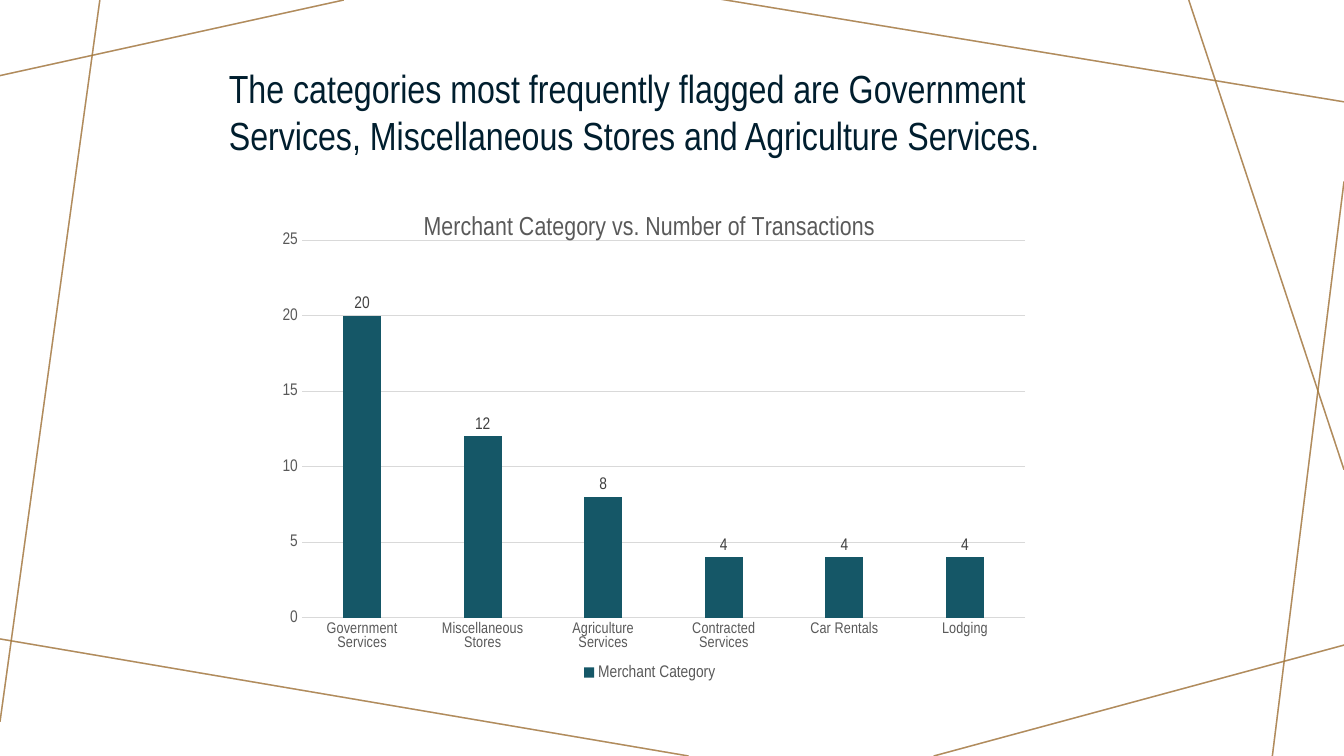
import pptx
import pptx.chart.data
import pptx.dml.color
import pptx.enum.chart
import pptx.enum.text
import pptx.oxml
import pptx.oxml.ns
import pptx.util

WIDTH, HEIGHT = 13.33, 7.5
FONT = "Arial Narrow"
COLORS = {
    "mauve": "BA9CA0",
    "gold": "A57931",
    "ink": "001E2E",
    "bar": "155767",
    "axis": "595959",
    "grid": "D9D9D9",
    "label": "404040",
}
LINES = [
    (25.58, 0, 0, 10),
    (7.43, 0, 0, 95.47),
    (51.24, 100, -0.38, 84.4),
    (100, 85.33, 69.47, 100),
    (100, 24, 94.67, 100),
    (100, 62.13, 88.45, 0),
    (100, 13.47, 53.56, -0.13),
]
TITLE_BOX = (16.28, 7.87, 64.07, 16.53)
CHART_BOX = (19.65, 25.6, 57.39, 64.93)
PLOT = {"x": 0.049, "y": 0.095, "w": 0.938, "h": 0.769}
TRANSACTIONS = {
    "Government Services": 20,
    "Miscellaneous Stores": 12,
    "Agriculture Services": 8,
    "Contracted Services": 4,
    "Car Rentals": 4,
    "Lodging": 4,
}


def place(box):
    sizes = (WIDTH, HEIGHT) * 2
    return [pptx.util.Inches(share * size / 100) for share, size in zip(box, sizes)]


def rgb(name):
    return pptx.dml.color.RGBColor.from_string(COLORS[name])


def set_all(obj, values):
    for name, value in values.items():
        setattr(obj, name, value)


def set_font(font, size, color):
    set_all(font, {"name": FONT, "size": pptx.util.Pt(size), "bold": False})
    font.color.rgb = rgb(color)


def set_line(line, color, width):
    line.color.rgb = rgb(color)
    line.width = pptx.util.Pt(width)


def add_line(s, ends, color):
    c = s.shapes.add_connector(pptx.enum.shapes.MSO_CONNECTOR.STRAIGHT, *place(ends))
    set_line(c.line, color, 1)
    ns = pptx.oxml.ns.nsdecls("a")
    fill = c.line.fill._xPr.find(".//" + pptx.oxml.ns.qn("a:srgbClr"))
    fill.append(pptx.oxml.parse_xml(f'<a:alpha {ns} val="70000"/>'))
    c._element.spPr.append(pptx.oxml.parse_xml(f"<a:effectLst {ns}/>"))


def add_title(s, text):
    sp = s.shapes.title
    set_all(sp, dict(zip(("left", "top", "width", "height"), place(TITLE_BOX))))
    tf = sp.text_frame
    set_all(tf, {
        "word_wrap": True,
        "auto_size": pptx.enum.text.MSO_AUTO_SIZE.NONE,
        "vertical_anchor": pptx.enum.text.MSO_ANCHOR.TOP,
    })
    p = tf.paragraphs[0]
    set_all(p, {
        "alignment": pptx.enum.text.PP_ALIGN.LEFT,
        "space_before": pptx.util.Pt(10),
        "space_after": pptx.util.Pt(5),
    })
    r = p.add_run()
    r.text = text
    set_font(r.font, 28, "ink")


def format_axis(axis, size):
    none = pptx.enum.chart.XL_TICK_MARK.NONE
    set_all(axis, {"major_tick_mark": none, "minor_tick_mark": none})
    set_font(axis.tick_labels.font, size, "axis")


def set_plot_area(chart):
    area = chart._chartSpace.chart.plotArea
    for old in area.findall(pptx.oxml.ns.qn("c:layout")):
        area.remove(old)
    shares = "".join(f'<c:{k} val="{v}"/>' for k, v in PLOT.items())
    area.insert(0, pptx.oxml.parse_xml(
        f'<c:layout {pptx.oxml.ns.nsdecls("c")}><c:manualLayout>'
        '<c:layoutTarget val="inner"/><c:xMode val="edge"/><c:yMode val="edge"/>'
        f"{shares}</c:manualLayout></c:layout>"))


def add_column_chart(s, title, series_name, values):
    data = pptx.chart.data.CategoryChartData()
    data.categories = list(values)
    data.add_series(series_name, list(values.values()))
    kind = pptx.enum.chart.XL_CHART_TYPE.COLUMN_CLUSTERED
    chart = s.shapes.add_chart(kind, *place(CHART_BOX), data).chart
    set_font(chart.font, 10, "label")

    p = chart.chart_title.text_frame.paragraphs[0]
    r = p.add_run()
    r.text = title
    set_font(r.font, 18.6, "axis")
    chart.chart_title.include_in_layout = False

    chart.has_legend = True
    set_all(chart.legend, {
        "position": pptx.enum.chart.XL_LEGEND_POSITION.BOTTOM,
        "include_in_layout": False,
    })
    set_font(chart.legend.font, 12, "axis")

    format_axis(chart.category_axis, 11)
    set_line(chart.category_axis.format.line, "grid", 0.75)
    axis = chart.value_axis
    format_axis(axis, 12)
    set_all(axis, {"minimum_scale": 0, "maximum_scale": 25, "major_unit": 5})
    axis.format.line.fill.background()
    set_line(axis.major_gridlines.format.line, "grid", 0.75)

    plot = chart.plots[0]
    set_all(plot, {
        "gap_width": 219,
        "overlap": -27,
        "vary_by_categories": False,
        "has_data_labels": True,
    })
    set_all(plot.data_labels, {
        "show_value": True,
        "position": pptx.enum.chart.XL_LABEL_POSITION.OUTSIDE_END,
    })
    set_font(plot.data_labels.font, 12, "label")
    fill = plot.series[0].format.fill
    fill.solid()
    fill.fore_color.rgb = rgb("bar")
    set_plot_area(chart)


def main():
    prs = pptx.Presentation()
    prs.slide_width = pptx.util.Inches(WIDTH)
    prs.slide_height = pptx.util.Inches(HEIGHT)
    s = prs.slides.add_slide(prs.slide_layouts[5])
    for color in ("mauve", "gold"):
        for ends in LINES:
            add_line(s, ends, color)
    add_column_chart(s, "Merchant Category vs. Number of Transactions",
                     "Merchant Category", TRANSACTIONS)
    add_title(s, "The categories most frequently flagged are Government Services, "
                 "Miscellaneous Stores and Agriculture Services.")
    prs.save("out.pptx")


if __name__ == "__main__":
    main()
